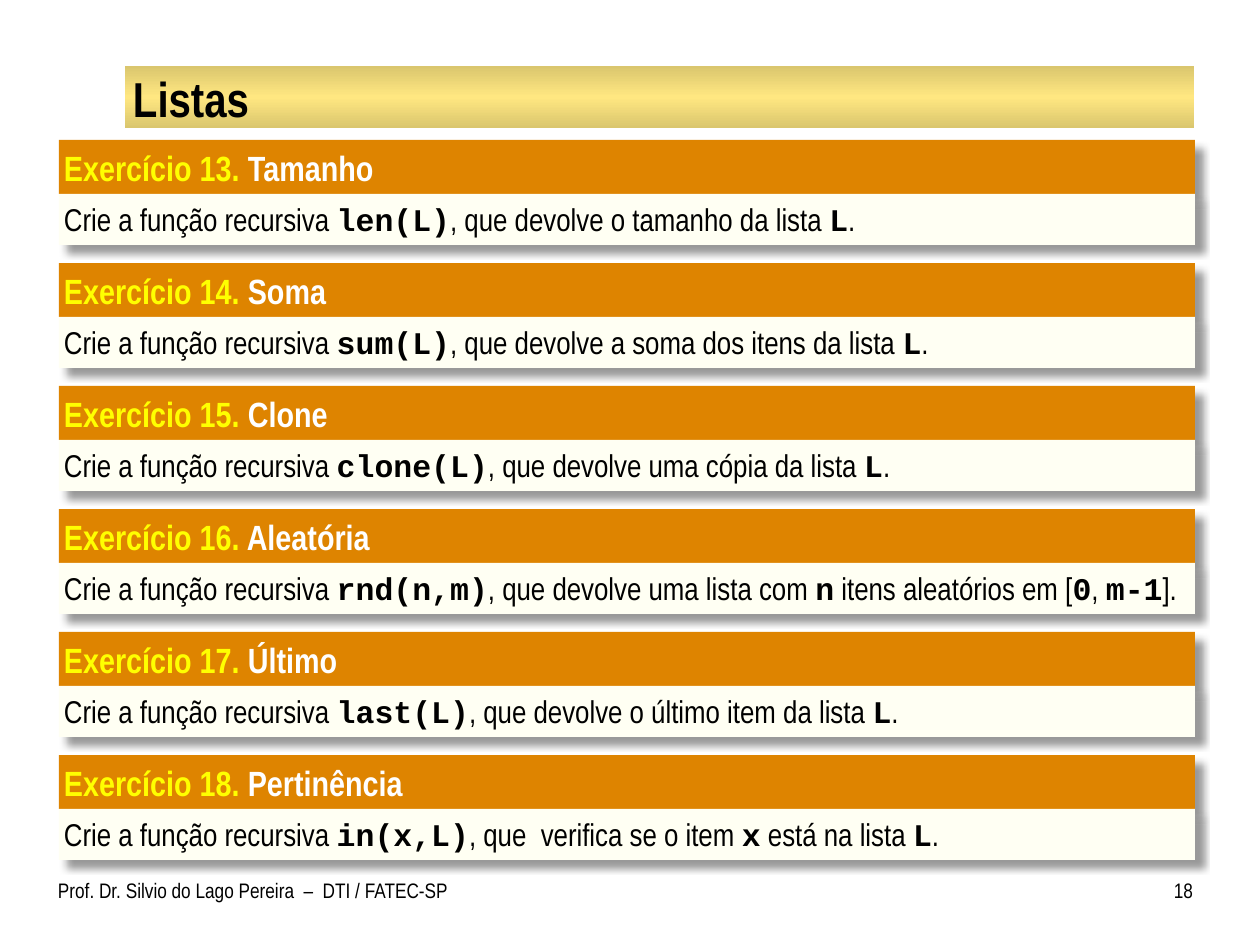
import copy

import pptx
import pptx.util
from pptx.dml.color import RGBColor
from pptx.enum.shapes import MSO_SHAPE
from pptx.enum.text import MSO_ANCHOR, PP_ALIGN
from pptx.oxml import parse_xml
from pptx.oxml.ns import nsdecls, qn

SCALE = 914400 / 126
SANS, MONO = "Arial Narrow", "Courier New"
COLORS = {
    "black": "000000", "white": "FFFFFF", "yellow": "FFFF00",
    "orange": "DE8400", "cream": "FFFFF3",
    "gold": "DAC66E", "light": "FFE781",
}
SHADOW = (
    f'<a:effectLst {nsdecls("a")}><a:outerShdw blurRad="50800" dist="76200" '
    'dir="2700000" algn="tl" rotWithShape="0"><a:srgbClr val="000000">'
    '<a:alpha val="40000"/></a:srgbClr></a:outerShdw></a:effectLst>'
)

# Text between backticks is code.
TASKS = [
    ("Tamanho", "`len(L)`, que devolve o tamanho da lista `L`."),
    ("Soma", "`sum(L)`, que devolve a soma dos itens da lista `L`."),
    ("Clone", "`clone(L)`, que devolve uma cópia da lista `L`."),
    ("Aleatória", "`rnd(n,m)`, que devolve uma lista com `n` itens "
                  "aleatórios em [`0`, `m-1`]."),
    ("Último", "`last(L)`, que devolve o último item da lista `L`."),
    ("Pertinência", "`in(x,L)`, que  verifica se o item `x` está na lista `L`."),
]
FIRST = 13
LEFT, TOP, WIDTH, PITCH = 59, 140, 1136, 123
HEAD, BODY = 54, 51


def px(n):
    return pptx.util.Emu(round(n * SCALE))


def rgb(name):
    return RGBColor.from_string(COLORS[name])


class Page:
    """Holds the style and the slide being filled."""

    def __init__(self, slide):
        self.slide = slide

    def rect(self, box, fill=None):
        shape = self.slide.shapes.add_shape(MSO_SHAPE.RECTANGLE, *map(px, box))
        shape.shadow.inherit = False
        shape.line.fill.background()
        if fill:
            shape.fill.solid()
            shape.fill.fore_color.rgb = rgb(fill)
        return shape

    def band(self, box):
        """Bar with a gradient that is lightest in the middle."""
        shape = self.rect(box)
        shape.fill.gradient()
        shape.fill.gradient_angle = 90
        stops = shape._element.spPr.find(".//" + qn("a:gsLst"))
        stops.insert(1, copy.deepcopy(stops[0]))
        looks = [(0, "gold"), (0.5, "light"), (1, "gold")]
        for stop, (place, color) in zip(shape.fill.gradient_stops, looks):
            stop.position = place
            stop.color.rgb = rgb(color)

    def card(self, box, fill):
        """Filled rectangle with a soft shadow."""
        shape = self.rect(box, fill)
        props = shape._element.spPr
        props.replace(props.find(qn("a:effectLst")), parse_xml(SHADOW))
        return shape

    def para(self, shape, size, pads, align=PP_ALIGN.LEFT, anchor=MSO_ANCHOR.TOP):
        """Set up the frame of a shape and return its first paragraph."""
        frame = shape.text_frame
        frame.word_wrap = True
        frame.vertical_anchor = anchor
        (frame.margin_left, frame.margin_top,
         frame.margin_right, frame.margin_bottom) = map(px, pads)
        line = frame.paragraphs[0]
        line.alignment = align
        line.font.size = pptx.util.Pt(size)
        return line

    def label(self, box, text, size, pads, bold=False, **place):
        shape = self.slide.shapes.add_textbox(*map(px, box))
        line = self.para(shape, size, pads, **place)
        line.text = text
        line.font.name = SANS
        line.font.bold = bold
        line.font.color.rgb = rgb("black")

    def head(self, top, number, name):
        shape = self.card((LEFT, top, WIDTH, HEAD), "orange")
        line = self.para(shape, 20, (5, 6, 13, 6))
        line.font.name = SANS
        line.font.bold = True
        parts = [(f"Exercício {number}.", "yellow"), (f" {name}", "white")]
        for text, color in parts:
            run = line.add_run()
            run.text = text
            run.font.color.rgb = rgb(color)

    def body(self, top, text):
        shape = self.card((LEFT, top, WIDTH, BODY), "cream")
        line = self.para(shape, 18, (5, 6, 5, 6), PP_ALIGN.JUSTIFY)
        line.font.color.rgb = rgb("black")
        for i, part in enumerate(text.split("`")):
            run = line.add_run()
            run.text = part
            code = i % 2 == 1
            run.font.name = MONO if code else SANS
            run.font.bold = code


def main():
    deck = pptx.Presentation()
    deck.slide_width, deck.slide_height = px(1260), px(945)
    page = Page(deck.slides.add_slide(deck.slide_layouts[6]))

    page.band((125, 66, 1069, 62))
    page.label((126, 68, 1067, 60), "Listas", 28, (7, 1, 7, 1), True,
               anchor=MSO_ANCHOR.MIDDLE)
    for i, (name, text) in enumerate(TASKS):
        top = TOP + i * PITCH
        page.head(top, FIRST + i, name)
        page.body(top + HEAD, "Crie a função recursiva " + text)
    page.label((58, 872, 412, 53),
               "Prof. Dr. Silvio do Lago Pereira  –  DTI / FATEC-SP",
               12, (0, 6, 13, 6))
    page.label((1144, 872, 49, 53), "18", 12, (13, 6, 0, 6),
               align=PP_ALIGN.RIGHT)

    deck.save("out.pptx")


if __name__ == "__main__":
    main()
